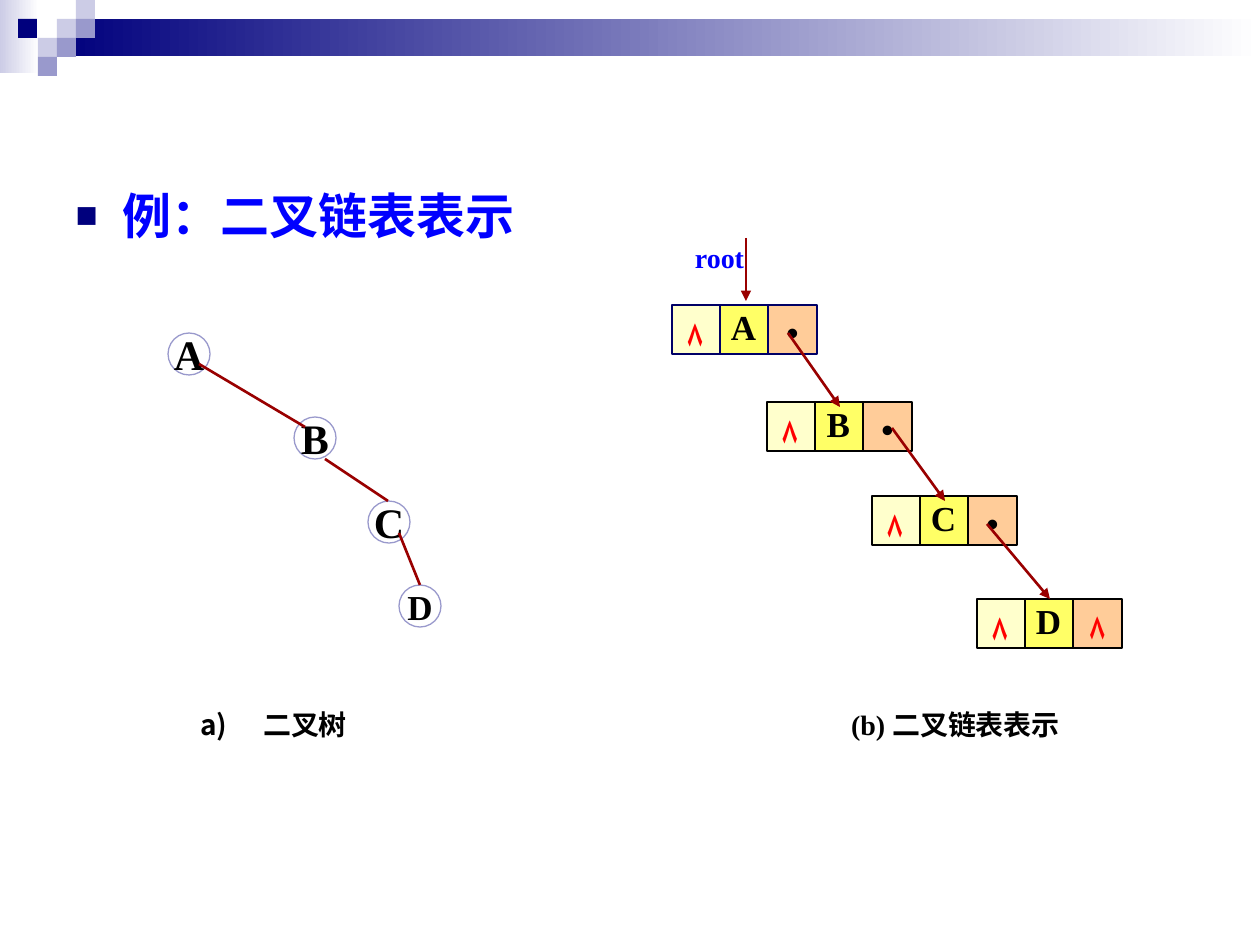
from lxml.etree import SubElement
from pptx import Presentation
from pptx.dml.color import RGBColor
from pptx.enum.shapes import MSO_CONNECTOR, MSO_SHAPE
from pptx.enum.text import MSO_ANCHOR, PP_ALIGN
from pptx.oxml.ns import qn
from pptx.util import Emu, Pt

SCALE = 914400 / 126
COLORS = {
    "navy": "00007D", "lavender": "CCCCE6", "violet": "9999CC",
    "white": "FFFFFF", "black": "000000", "blue": "0000FF", "red": "FF0000",
    "maroon": "990000", "ink": "000066",
    "cream": "FFFFCC", "yellow": "FFFF66", "peach": "FFCC99",
}
SERIF = "Times New Roman"
NODE = 42
CELL = 49
INSETS = (13, 6, 13, 6)


def px(value):
    return Emu(int(value * SCALE))


def rgb(name):
    return RGBColor.from_string(COLORS[name])


def write(tf, text, size, color="black", font=SERIF, align=PP_ALIGN.CENTER):
    p = tf.paragraphs[0]
    p.text = text
    p.alignment = align
    for r in p.runs:
        r.font.size = Pt(size)
        r.font.bold = True
        r.font.name = font
        r.font.color.rgb = rgb(color)
        SubElement(r.font._element, qn("a:cs"), typeface=font)
    return p


def set_bullet(p, indent, *marks):
    pPr = p._p.get_or_add_pPr()
    pPr.set("marL", str(px(indent)))
    pPr.set("indent", str(-px(indent)))
    for tag, attrs in marks:
        SubElement(pPr, qn(tag), **attrs)
    return pPr


def add_block(s, kind, x, y, w, h, fill, line=None):
    sp = s.shapes.add_shape(kind, px(x), px(y), px(w), px(h))
    sp.shadow.inherit = False
    sp.fill.solid()
    sp.fill.fore_color.rgb = rgb(fill)
    if line:
        sp.line.color.rgb = rgb(line)
        sp.line.width = Pt(0.75)
    else:
        sp.line.fill.background()
    return sp


def add_fade(s, x, y, w, h, color):
    sp = add_block(s, MSO_SHAPE.RECTANGLE, x, y, w, h, color)
    sp.fill.gradient()
    sp.fill.gradient_angle = 0
    for stop, name in zip(sp.fill.gradient_stops, (color, "white")):
        stop.color.rgb = rgb(name)


def add_label(sp, text, size, color="black", insets=INSETS):
    tf = sp.text_frame
    tf.word_wrap = False
    tf.vertical_anchor = MSO_ANCHOR.MIDDLE
    tf.margin_left, tf.margin_top, tf.margin_right, tf.margin_bottom = map(px, insets)
    write(tf, text, size, color)


def add_text(s, x, y, w, h, text, color="black"):
    tf = s.shapes.add_textbox(px(x), px(y), px(w), px(h)).text_frame
    tf.word_wrap = True
    return write(tf, text, 16, color)


def add_line(s, x1, y1, x2, y2, arrow=False):
    c = s.shapes.add_connector(MSO_CONNECTOR.STRAIGHT, px(x1), px(y1), px(x2), px(y2))
    c.line.color.rgb = rgb("maroon")
    c.line.width = Pt(1.5)
    if arrow:
        SubElement(c.line._get_or_add_ln(), qn("a:tailEnd"), type="triangle")
    SubElement(c._element.spPr, qn("a:effectLst"))


def add_tree_node(s, x, y, text, size):
    sp = add_block(s, MSO_SHAPE.OVAL, x, y, NODE, NODE, "white", "violet")
    add_label(sp, text, size)


def add_list_node(s, x, y, text, line, last):
    link = ("۸", "red") if last else ("•", "black")
    cells = (
        (47, CELL, "yellow", text, "black", (13, 1, 13, 6)),
        (96, CELL, "peach", *link, (13, 10, 13, 6)),
        (0, CELL - 1, "cream", "۸ ", "red", (20, 13, 13, 6)),
    )
    for dx, w, fill, label, color, insets in cells:
        sp = add_block(s, MSO_SHAPE.RECTANGLE, x + dx, y, w, CELL, fill, line)
        add_label(sp, label, 20, color, insets)


def add_banner(s):
    add_fade(s, 0, 0, 39, 73, "lavender")
    add_fade(s, 57, 19, 1203, 37, "navy")
    squares = (
        (57, 19, "lavender"), (76, 0, "lavender"), (76, 19, "violet"),
        (38, 38, "lavender"), (18, 19, "navy"), (57, 38, "violet"), (38, 57, "violet"),
    )
    for x, y, color in squares:
        add_block(s, MSO_SHAPE.RECTANGLE, x, y, 19, 19, color)


def add_heading(s):
    s.shapes._spTree.remove(s.shapes.title._element)
    body = s.placeholders[1]
    body.left, body.top, body.width, body.height = map(px, (63, 179, 1134, 672))
    p = write(body.text_frame, "例：二叉链表表示", 28, "blue", "Arial", PP_ALIGN.LEFT)
    p.space_before = Pt(0)
    pPr = set_bullet(p, 47, ("a:buClr", {}), ("a:buSzPct", {"val": "75000"}),
                     ("a:buFont", {"typeface": "Arial"}), ("a:buChar", {"char": "■"}))
    SubElement(pPr.find(qn("a:buClr")), qn("a:srgbClr"), val=COLORS["navy"])


def add_tree(s):
    nodes = ((168, 333, "A", 24), (294, 417, "B", 24), (368, 501, "C", 24), (399, 585, "D", 20))
    for node in nodes:
        add_tree_node(s, *node)
    edges = ((199, 364, 305, 427), (325, 459, 388, 501), (399, 533, 420, 585))
    for edge in edges:
        add_line(s, *edge)
    p = add_text(s, 158, 701, 231, 47, "二叉树")
    set_bullet(p, 63, ("a:buAutoNum", {"type": "alphaLcParenR"}))


def add_linked_list(s):
    nodes = ((672, 305, "A", "ink"), (767, 402, "B", "black"),
             (872, 496, "C", "black"), (977, 599, "D", "black"))
    for x, y, text, line in nodes:
        add_list_node(s, x, y, text, line, text == "D")
    add_text(s, 672, 234, 95, 47, "root", "blue")
    arrows = ((746, 238, 746, 301), (788, 333, 840, 407),
              (892, 428, 945, 501), (987, 524, 1050, 599))
    for arrow in arrows:
        add_line(s, *arrow, arrow=True)
    add_text(s, 819, 701, 273, 47, "(b) 二叉链表表示")


def main():
    prs = Presentation()
    prs.slide_width, prs.slide_height = px(1260), px(945)
    s = prs.slides.add_slide(prs.slide_layouts[1])
    add_banner(s)
    add_heading(s)
    add_tree(s)
    add_linked_list(s)
    prs.save("out.pptx")


if __name__ == "__main__":
    main()
